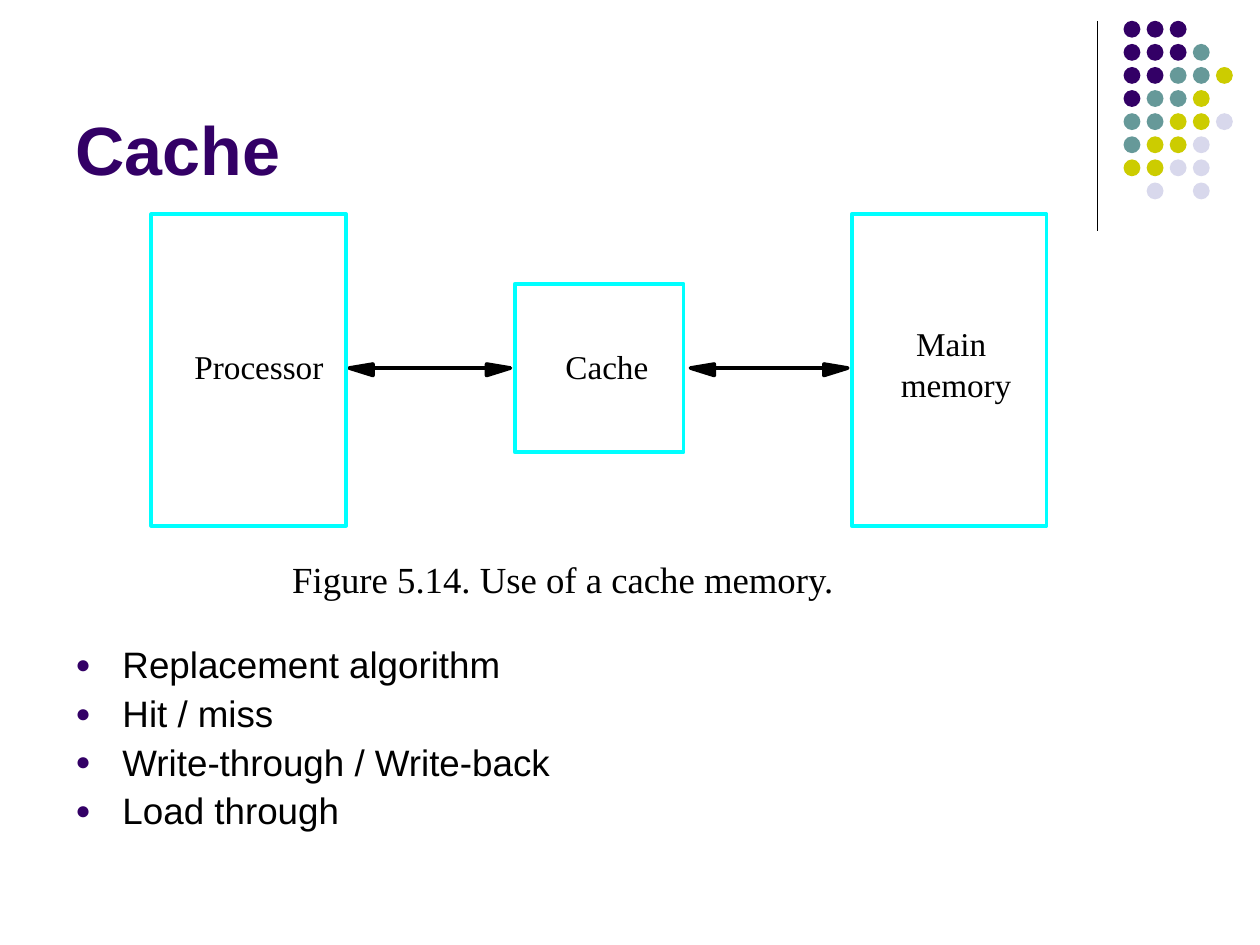
"""Build the slide on the use of a cache memory."""
from pptx import Presentation, util as u
from pptx.dml.color import RGBColor
from pptx.enum import shapes, text
from pptx.oxml.ns import qn
from lxml import etree

SERIF, SANS = "Times New Roman", "Arial"
INK, PURPLE, CYAN = "000000", "330066", "00FFFF"
STROKE = 2.13

TITLE = "Cache"
TOPICS = ["Replacement algorithm", "Hit / miss", "Write-through / Write-back", "Load through"]
CAPTION = "Figure 5.14. Use of a cache memory."
UNITS = [(3.05, 4.32, 3.93, 6.28), (10.38, 5.72, 3.4, 3.4), (17.17, 4.32, 3.93, 6.28)]
LABELS = [
    ("Processor", 3.92, 6.98, 2.75),
    ("Cache", 11.4, 6.98, 1.75),
    ("Main", 18.47, 6.52, 1.5),
    ("memory", 18.16, 7.34, 2.35),
]
LINKS = [(7.04, 10.29), (13.92, 17.09)]
LINK_Y, HEAD_LENGTH, HEAD_RISE, HEAD_DROP = 7.42, 0.48, 0.08, 0.15
DOT_ROWS = ["PPP", "PPPT", "PPTTY", "PTTY", "TTYYL", "TYYL", "YYLL", " L L"]
DOT_COLOURS = {"P": PURPLE, "T": "669999", "Y": "CCCC00", "L": "D8D8EC"}
DOT_LEFT, DOT_TOP, DOT_SIZE, DOT_SPAN = 22.65, 0.42, 0.34, 3.26

deck = Presentation()
deck.slide_width, deck.slide_height = u.Cm(25.4), u.Cm(19.05)
slide = deck.slides.add_slide(deck.slide_layouts[6])


def colour(value):
    return RGBColor.from_string(value)


def paint(part, fill=None, line=None):
    part.shadow.inherit = False
    if fill:
        part.fill.solid()
        part.fill.fore_color.rgb = colour(fill)
    else:
        part.fill.background()
    if line:
        part.line.color.rgb = colour(line)
        part.line.width = u.Pt(STROKE)
    else:
        part.line.fill.background()


def add_preset(kind, place, **look):
    paint(slide.shapes.add_shape(kind, *map(u.Cm, place)), **look)


def add_line(start, end, width):
    rule = slide.shapes.add_connector(shapes.MSO_CONNECTOR.STRAIGHT, *map(u.Cm, start + end))
    rule.line.color.rgb = colour(INK)
    rule.line.width = u.Pt(width)
    etree.SubElement(rule._element.spPr, qn("a:effectLst"))


def add_head(tip, base):
    top, bottom = LINK_Y - HEAD_RISE, LINK_Y + HEAD_DROP
    outline = slide.shapes.build_freeform(u.Cm(base), u.Cm(top))
    outline.add_line_segments([(u.Cm(tip), u.Cm(LINK_Y)), (u.Cm(base), u.Cm(bottom))])
    paint(outline.convert_to_shape(), fill=INK, line=INK)


def add_bullet(paragraph):
    props = paragraph._p.get_or_add_pPr()
    props.set("marL", str(u.Cm(0.95)))
    props.set("indent", str(u.Cm(-0.95)))
    tint = etree.SubElement(props, qn("a:buClr"))
    etree.SubElement(tint, qn("a:srgbClr"), val=PURPLE)
    etree.SubElement(props, qn("a:buSzPct"), val="70000")
    etree.SubElement(props, qn("a:buFont"), typeface=SANS)
    etree.SubElement(props, qn("a:buChar"), char="●")


def add_text(lines, place, size, font=SERIF, ink=INK, bold=False, wrap=False,
             inset=(0, 0), anchor=text.MSO_ANCHOR.TOP, bullets=False):
    frame = slide.shapes.add_textbox(*map(u.Cm, place)).text_frame
    frame.word_wrap, frame.vertical_anchor = wrap, anchor
    frame.margin_left = frame.margin_right = u.Cm(inset[0])
    frame.margin_top = frame.margin_bottom = u.Cm(inset[1])
    frame.text = "\n".join(lines)
    for paragraph in frame.paragraphs:
        letters = paragraph.runs[0].font
        letters.size, letters.name, letters.bold = u.Pt(size), font, bold
        letters.color.rgb = colour(ink)
        if bullets:
            paragraph.line_spacing, paragraph.space_before = 0.9, u.Pt(5.2)
            add_bullet(paragraph)


add_line((22.12, 0.42), (22.12, 4.65), 0.75)
pitch = DOT_SPAN / (len(DOT_ROWS) - 1)
for row, keys in enumerate(DOT_ROWS):
    for column, key in enumerate(keys):
        if key in DOT_COLOURS:
            place = (DOT_LEFT + column * pitch, DOT_TOP + row * pitch, DOT_SIZE, DOT_SIZE)
            add_preset(shapes.MSO_SHAPE.OVAL, place, fill=DOT_COLOURS[key])

add_text([TITLE], (1.27, 0.33, 20.96, 3.61), 39, font=SANS, ink=PURPLE, bold=True,
         wrap=True, inset=(0.25, 0.13), anchor=text.MSO_ANCHOR.BOTTOM)
add_text(TOPICS, (1.27, 12.91, 22.86, 4.11), 21, font=SANS, wrap=True,
         inset=(0.25, 0.13), bullets=True)
add_text([CAPTION], (5.89, 11.23, 11.1, 0.89), 21)

for left, right in LINKS:
    left_base, right_base = left + HEAD_LENGTH, right - HEAD_LENGTH
    add_head(left, left_base)
    add_head(right, right_base)
    add_line((right_base, LINK_Y), (left_base, LINK_Y), STROKE)
for unit in UNITS:
    add_preset(shapes.MSO_SHAPE.RECTANGLE, unit, line=CYAN)
for label, left, top, width in LABELS:
    add_text([label], (left, top, width, 0.81), 19)

deck.save("out.pptx")
